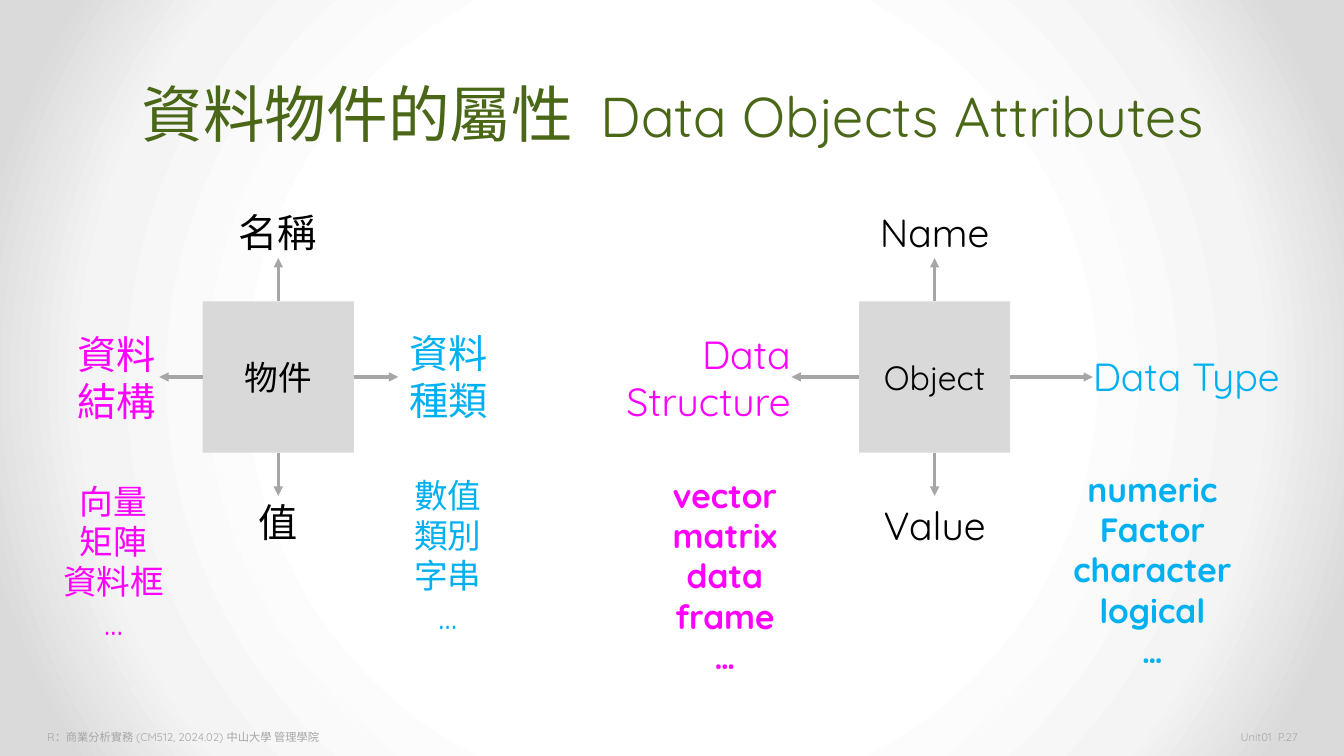
from pptx import Presentation
from pptx.dml.color import RGBColor
from pptx.enum.shapes import MSO_CONNECTOR, MSO_SHAPE
from pptx.enum.text import MSO_ANCHOR, PP_ALIGN
from pptx.oxml import parse_xml
from pptx.oxml.ns import nsdecls
from pptx.util import Inches, Pt
from lxml.etree import SubElement
from pptx.oxml.ns import qn

BLACK = RGBColor(0x00, 0x00, 0x00)
GREEN = RGBColor(0x4A, 0x67, 0x17)
MAGENTA = RGBColor(0xFF, 0x00, 0xFF)
BLUE = RGBColor(0x00, 0xB0, 0xF0)
GRAY = RGBColor(0xA6, 0xA6, 0xA6)
BOX_GRAY = RGBColor(0xD9, 0xD9, 0xD9)
LATIN, HAN = "Quicksand", "Arial"
LEFT, CENTER, RIGHT = PP_ALIGN.LEFT, PP_ALIGN.CENTER, PP_ALIGN.RIGHT

BACKDROP_STOPS = [(50, "FFFFFF"), (76, "F4F4F4"), (92, "DADADA")]
BOX_TOP, BOX_SIZE, ARROW_RISE = 2.99, 1.5, 0.43


def paint_backdrop(slide):
    stops = "".join(
        f'<a:gs pos="{percent * 1000}"><a:srgbClr val="{color}"/></a:gs>'
        for percent, color in BACKDROP_STOPS)
    backdrop = parse_xml(
        f'<p:bg {nsdecls("p", "a")}><p:bgPr><a:gradFill rotWithShape="1">'
        f'<a:gsLst>{stops}</a:gsLst><a:path path="circle">'
        '<a:fillToRect l="50000" t="50000" r="50000" b="50000"/></a:path>'
        '</a:gradFill><a:effectLst/></p:bgPr></p:bg>')
    slide.element.cSld.insert(0, backdrop)


def add_run(paragraph, text, color, **formats):
    run = paragraph.add_run()
    run.text = text
    run.font.color.rgb = color
    for key, value in formats.items():
        setattr(run.font, key, value)


def add_label(slide, place, lines, color, align=LEFT, wrap=False, **formats):
    frame = slide.shapes.add_textbox(*map(Inches, place)).text_frame
    frame.word_wrap = wrap
    for index, line in enumerate(lines):
        paragraph = frame.add_paragraph() if index else frame.paragraphs[0]
        paragraph.alignment = align
        add_run(paragraph, line, color, **formats)
    return frame


def add_arrow(slide, start, end):
    arrow = slide.shapes.add_connector(
        MSO_CONNECTOR.STRAIGHT, *map(Inches, (*start, *end)))
    arrow.line.color.rgb = GRAY
    arrow.line.width = Pt(2.25)
    SubElement(arrow.line._get_or_add_ln(), qn("a:tailEnd"), type="triangle")
    SubElement(arrow.element.spPr, qn("a:effectLst"))


def add_object(slide, left, text, font, structure_x, type_x):
    box = slide.shapes.add_shape(
        MSO_SHAPE.RECTANGLE, *map(Inches, (left, BOX_TOP, BOX_SIZE, BOX_SIZE)))
    box.shadow.inherit = False
    box.fill.solid()
    box.fill.fore_color.rgb = BOX_GRAY
    box.line.fill.background()
    box.text_frame.vertical_anchor = MSO_ANCHOR.MIDDLE
    paragraph = box.text_frame.paragraphs[0]
    paragraph.alignment = CENTER
    add_run(paragraph, text, BLACK, size=Pt(24), name=font)

    center, middle = left + BOX_SIZE / 2, BOX_TOP + BOX_SIZE / 2
    right, bottom = left + BOX_SIZE, BOX_TOP + BOX_SIZE
    add_arrow(slide, (center, BOX_TOP), (center, BOX_TOP - ARROW_RISE))
    add_arrow(slide, (right, middle), (type_x, middle))
    add_arrow(slide, (center, bottom), (center, bottom + ARROW_RISE))
    add_arrow(slide, (left, middle), (structure_x, middle))


def add_title(slide):
    title = slide.shapes.title
    place = dict(left=0.67, top=0.55, width=12, height=1.07)
    for key, value in place.items():
        setattr(title, key, Inches(value))
    title.text_frame.vertical_anchor = MSO_ANCHOR.MIDDLE
    paragraph = title.text_frame.paragraphs[0]
    paragraph.alignment = CENTER
    paragraph.line_spacing = Pt(58)
    add_run(paragraph, "資料物件的屬性  ", GREEN, size=Pt(44), name=HAN)
    add_run(paragraph, "Data Objects Attributes", GREEN, size=Pt(40), name=LATIN)


def add_footer(slide):
    small = dict(size=Pt(8), name=LATIN)
    course = add_label(slide, (0.37, 7.2, 2.99, 0.24),
                       ["R：商業分析實務 (CM512, 2024.02) "], GRAY, wrap=True, **small)
    add_run(course.paragraphs[0], "中山大學 管理學院", GRAY, size=Pt(8), name=HAN)
    add_label(slide, (10.03, 7.2, 2.94, 0.24), ["Unit01  P.27"], GRAY, RIGHT,
              wrap=True, **small)


def main():
    deck = Presentation()
    deck.slide_width, deck.slide_height = Inches(13.33), Inches(7.5)
    slide = deck.slides.add_slide(deck.slide_layouts[5])
    paint_backdrop(slide)
    add_footer(slide)
    add_title(slide)

    add_object(slide, 2.01, "物件", HAN, 1.58, 3.95)
    add_object(slide, 8.52, "Object", LATIN, 7.85, 10.84)

    han = dict(size=Pt(28), name=HAN)
    add_label(slide, (2.27, 2.02, 0.99, 0.57), ["名稱"], BLACK, **han)
    add_label(slide, (0.67, 3.23, 0.99, 1.04), ["資料", "結構"], MAGENTA, **han)
    add_label(slide, (3.96, 3.22, 0.99, 1.04), ["資料", "種類"], BLUE, **han)
    add_label(slide, (2.47, 4.89, 0.59, 0.57), ["值"], BLACK, **han)

    latin = dict(size=Pt(28), name=LATIN)
    add_label(slide, (8.61, 2.02, 1.32, 0.57), ["Name"], BLACK, CENTER, **latin)
    add_label(slide, (5.48, 3.23, 2.46, 1.04), ["Data", "Structure"], MAGENTA,
              RIGHT, wrap=True, **latin)
    add_label(slide, (10.74, 3.45, 2.11, 0.57), ["Data Type"], BLUE, **latin)
    add_label(slide, (8.64, 4.92, 1.26, 0.57), ["Value"], BLACK, CENTER, **latin)

    examples = dict(align=CENTER, size=Pt(24), name=LATIN)
    add_label(slide, (4, 4.66, 0.88, 1.72), ["數值", "類別", "字串", "…"],
              BLUE, **examples)
    add_label(slide, (0.52, 4.72, 1.21, 1.72), ["向量", "矩陣", "資料框", "…"],
              MAGENTA, **examples)
    add_label(slide, (6.21, 4.66, 1.96, 1.72),
              ["vector", "matrix", "data frame", "…"],
              MAGENTA, wrap=True, bold=True, **examples)
    add_label(slide, (10.53, 4.6, 1.8, 2.12),
              ["numeric", "Factor", "character", "logical", "…"],
              BLUE, bold=True, **examples)

    deck.save("out.pptx")


if __name__ == "__main__":
    main()
